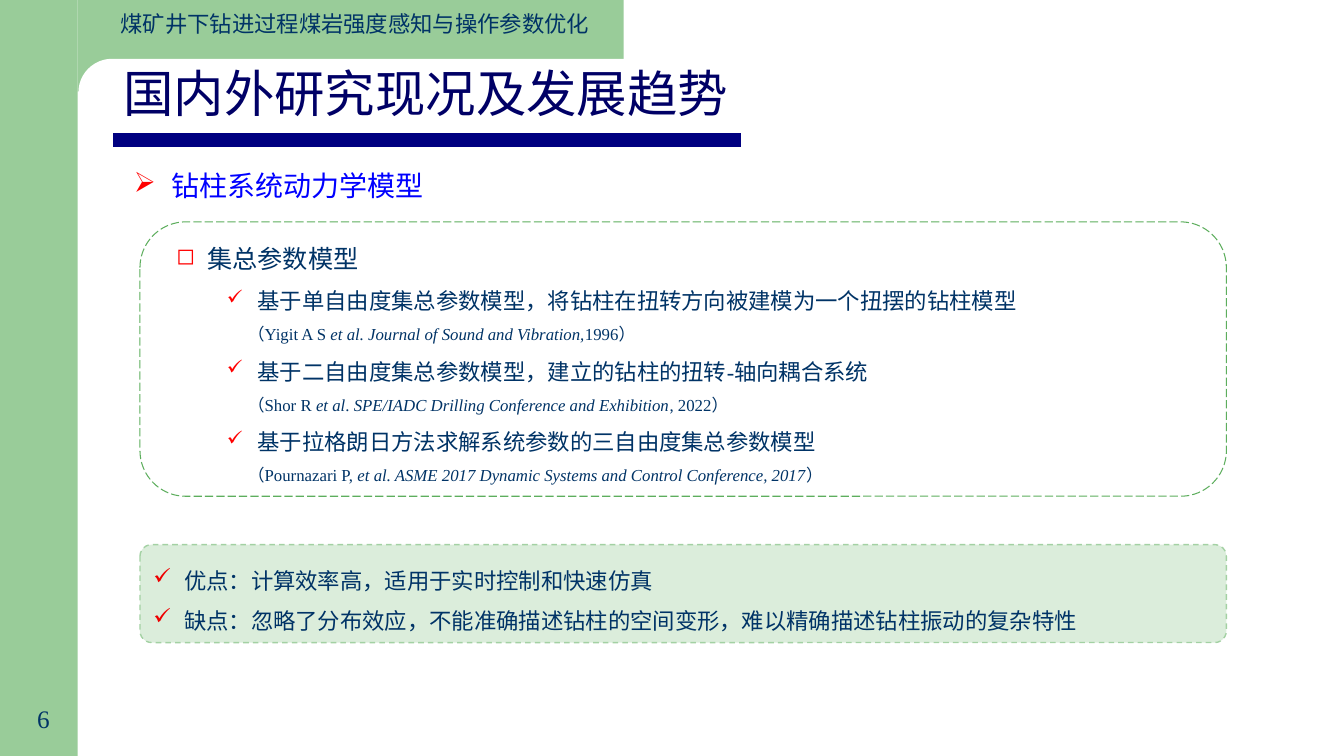
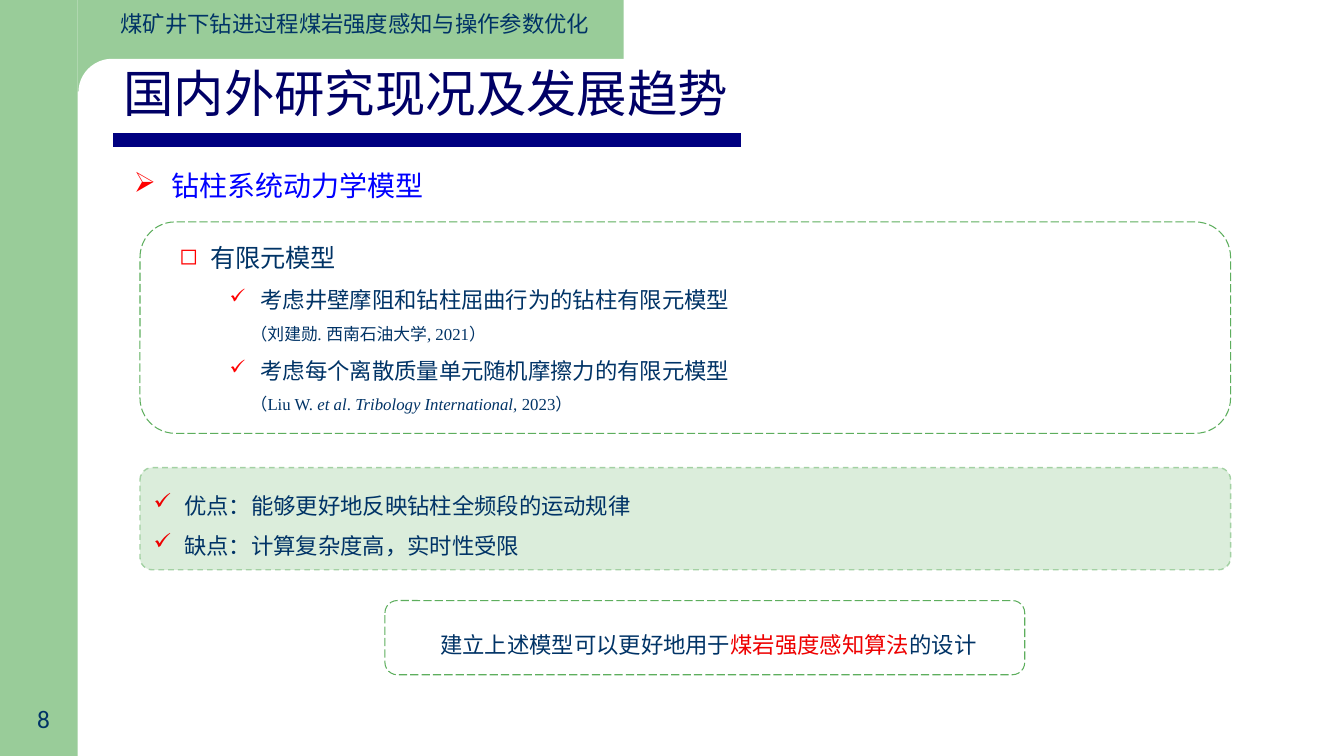
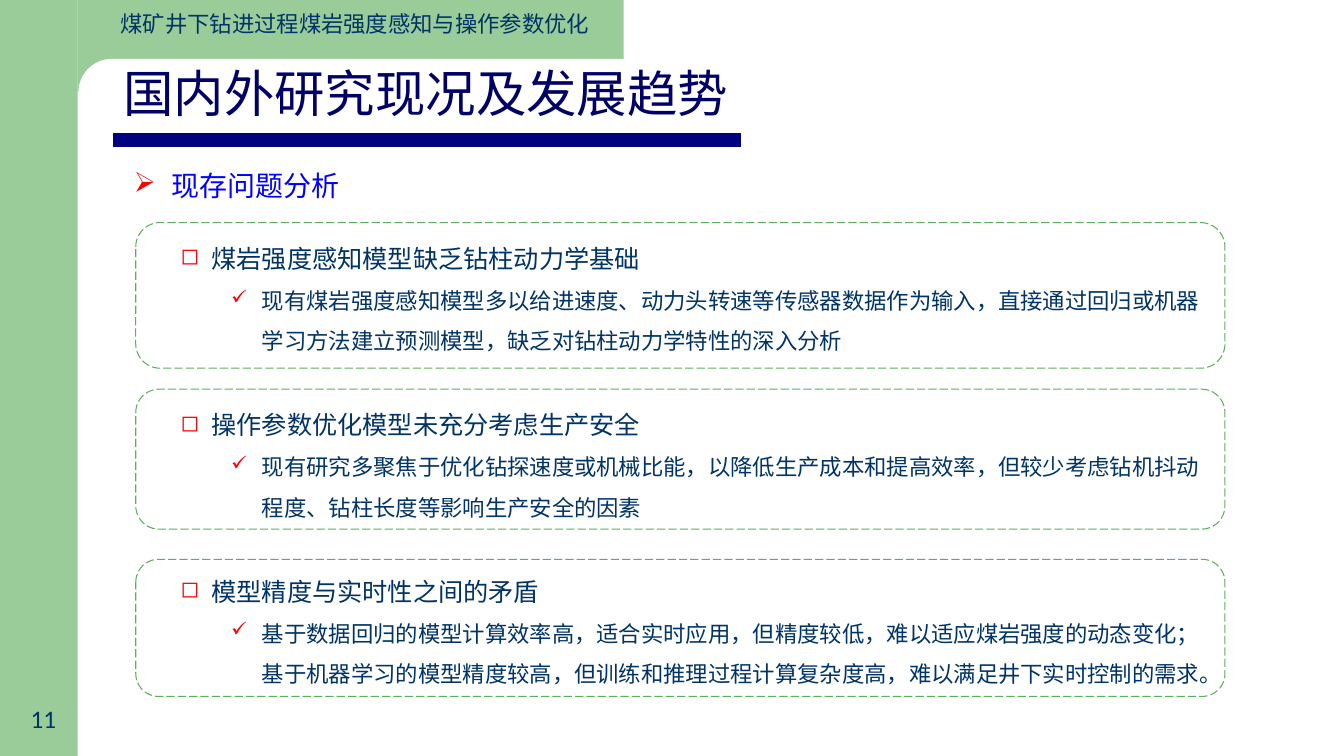
"""Builds three slides on drill string models and open research problems."""
import dataclasses

import lxml.etree
import pptx
import pptx.dml.color
import pptx.enum.dml
import pptx.enum.shapes
import pptx.enum.text
import pptx.oxml.ns
import pptx.util

Pt = pptx.util.Pt
RGB = pptx.dml.color.RGBColor.from_string
qn = pptx.oxml.ns.qn
SHAPES = pptx.enum.shapes.MSO_SHAPE
DASHES = pptx.enum.dml.MSO_LINE
ALIGN = pptx.enum.text.PP_ALIGN
ANCHOR = pptx.enum.text.MSO_ANCHOR


@dataclasses.dataclass(frozen=True)
class Theme:
    """Colours, fonts and type sizes of the deck."""
    band: str = "99CC99"
    paper: str = "FFFFFF"
    ink: str = "003366"
    title: str = "000066"
    rule: str = "000080"
    topic: str = "0000FF"
    bullet: str = "FF0000"
    accent: str = "EE0000"
    card_line: str = "5DAE5D"
    verdict_fill: str = "DBEDDB"
    verdict_line: str = "A3D1A3"
    latin: str = "Times New Roman"
    sans: str = "Calibri"
    chinese: str = "Noto Sans CJK SC"
    title_size: int = 36
    topic_size: int = 20
    head_size: int = 18
    body_size: int = 16
    cite_size: int = 12
    leading: float = 1.8


THEME = Theme()
RUNNING_HEAD = "煤矿井下钻进过程煤岩强度感知与操作参数优化"
TITLE = "国内外研究现况及发展趋势"

SLIDES = [
    {
        "number": "6", "number_font": THEME.latin,
        "topic": "钻柱系统动力学模型",
        "cards": [(100, 158.5, 776, 196)],
        "list_at": (119, 159.5, 693, 190),
        "list": [
            ("head", "集总参数模型"),
            ("point", "基于单自由度集总参数模型，将钻柱在扭转方向被建模为一个扭摆的钻柱模型"),
            ("cite", "（Yigit A S ", "et al. Journal of Sound and Vibration,", "1996）"),
            ("point", "基于二自由度集总参数模型，建立的钻柱的扭转-轴向耦合系统"),
            ("cite", "（Shor R ", "et al", ". ",
             "SPE/IADC Drilling Conference and Exhibition", ", 2022）"),
            ("point", "基于拉格朗日方法求解系统参数的三自由度集总参数模型"),
            ("cite", "（Pournazari P,",
             " et al. ASME 2017 Dynamic Systems and Control Conference, 2017", "）"),
        ],
        "verdict_at": (100, 389, 776, 70),
        "verdict": [
            ("verdict", "优点：计算效率高，适用于实时控制和快速仿真"),
            ("verdict", "缺点：忽略了分布效应，不能准确描述钻柱的空间变形，难以精确描述钻柱振动的复杂特性"),
        ],
    },
    {
        "number": "8", "number_font": THEME.sans,
        "topic": "钻柱系统动力学模型",
        "cards": [(100, 158.5, 779, 151), (275, 429, 457, 53)],
        "list_at": (121, 159, 459, 139),
        "list": [
            ("head", "有限元模型"),
            ("point", "考虑井壁摩阻和钻柱屈曲行为的钻柱有限元模型"),
            ("cite", "（刘建勋", ". ", "西南石油大学", ",", " 2021）"),
            ("point", "考虑每个离散质量单元随机摩擦力的有限元模型"),
            ("cite", "（Liu W. ", "et al", ". ", "Tribology International, ", "2023）"),
        ],
        "verdict_at": (100, 334, 779, 73),
        "verdict": [
            ("verdict", "优点：能够更好地反映钻柱全频段的运动规律"),
            ("verdict", "缺点：计算复杂度高，实时性受限"),
        ],
        "closing_at": (275, 438, 462, 36),
        "closing": [("closing", "建立上述模型可以更好地用于", "煤岩强度感知算法", "的设计")],
    },
    {
        "number": "11", "number_font": THEME.sans,
        "topic": "现存问题分析",
        "cards": [(97, 159, 778, 104), (97, 278, 778, 100), (97, 399.5, 778, 98)],
        "list_at": (122, 159.5, 746, 335),
        "list": [
            ("head", "煤岩强度感知模型缺乏钻柱动力学基础"),
            ("point", "现有煤岩强度感知模型多以给进速度、动力头转速等传感器数据作为输入，"
                      "直接通过回归或机器学习方法建立预测模型，缺乏对钻柱动力学特性的深入分析"),
            ("next_head", "操作参数优化模型未充分考虑生产安全"),
            ("point", "现有研究多聚焦于优化钻探速度或机械比能，以降低生产成本和提高效率，"
                      "但较少考虑钻机抖动程度、钻柱长度等影响生产安全的因素"),
            ("next_head", "模型精度与实时性之间的矛盾"),
            ("point", "基于数据回归的模型计算效率高，适合实时应用，但精度较低，难以适应煤岩强度的动态变化；"
                      "基于机器学习的模型精度较高，但训练和推理过程计算复杂度高，难以满足井下实时控制的需求。"),
        ],
    },
]

HEAD = {"size": THEME.head_size, "margin": 22, "indent": -22, "bullet": "◻", "scale": 90}
STYLES = {
    "running": {"font": THEME.chinese, "single": True},
    "title": {"size": THEME.title_size, "color": THEME.title, "font": THEME.chinese,
              "single": True},
    "number": {"size": THEME.head_size, "single": True, "format": {"alignment": ALIGN.CENTER}},
    "topic": {"size": THEME.topic_size, "color": THEME.topic, "margin": 27, "indent": -27,
              "bullet": "➢", "format": {"alignment": ALIGN.JUSTIFY}},
    "head": HEAD,
    "next_head": {**HEAD, "format": {"space_before": Pt(28.8)}},
    "point": {"margin": 58, "indent": -22, "bullet": "✓", "scale": 90, "format": {"level": 1}},
    "cite": {"size": THEME.cite_size, "margin": 51, "italic_emphasis": True,
             "format": {"level": 1}},
    "verdict": {"margin": 22, "indent": -22, "bullet": "✓", "bullet_color": THEME.accent},
    "closing": {"emphasis": THEME.accent, "format": {"alignment": ALIGN.CENTER}},
}


def add_bullet(props, style):
    """Give a paragraph its coloured bullet character."""
    color = lxml.etree.SubElement(props, qn("a:buClr"))
    lxml.etree.SubElement(color, qn("a:srgbClr"),
                          val=style.get("bullet_color", THEME.bullet))
    lxml.etree.SubElement(props, qn("a:buSzPct"), val=str(style.get("scale", 100) * 1000))
    lxml.etree.SubElement(props, qn("a:buChar"), char=style["bullet"])


def write(frame, paragraphs, font=None):
    """Fill a text frame; every second run of a paragraph is emphasised."""
    frame.word_wrap = True
    for index, (kind, *runs) in enumerate(paragraphs):
        style = STYLES[kind]
        size = style.get("size", THEME.body_size)
        paragraph = frame.paragraphs[0] if index == 0 else frame.add_paragraph()
        spacing = 1.0 if style.get("single") else Pt(size * THEME.leading)
        values = {"alignment": ALIGN.LEFT, "line_spacing": spacing, **style.get("format", {})}
        for name, value in values.items():
            setattr(paragraph, name, value)
        props = paragraph._p.get_or_add_pPr()
        props.set("marL", str(Pt(style.get("margin", 0))))
        props.set("indent", str(Pt(style.get("indent", 0))))
        if "bullet" in style:
            add_bullet(props, style)
        for position, text in enumerate(runs):
            emphasised = position % 2 == 1
            run = paragraph.add_run()
            run.text = text
            run_format = {"size": Pt(size), "name": font or style.get("font", THEME.latin),
                          "italic": emphasised and style.get("italic_emphasis", False)}
            for name, value in run_format.items():
                setattr(run.font, name, value)
            color = style.get("color", THEME.ink)
            run.font.color.rgb = RGB(style.get("emphasis", color) if emphasised else color)
            lxml.etree.SubElement(run.font._element, qn("a:ea"), typeface=THEME.chinese)


def add_text(slide, at, paragraphs, font=None):
    """Add a text box at a place given in points."""
    box = slide.shapes.add_textbox(*map(Pt, at))
    write(box.text_frame, paragraphs, font)
    return box


def add_panel(slide, kind, at, fill=None, line=None, width=0.75, dash=None, radius=None):
    """Add a flat preset shape at a place given in points."""
    panel = slide.shapes.add_shape(kind, *map(Pt, at))
    panel.shadow.inherit = False
    if fill:
        panel.fill.solid()
        panel.fill.fore_color.rgb = RGB(fill)
    else:
        panel.fill.background()
    if line:
        panel.line.color.rgb = RGB(line)
        panel.line.width = Pt(width)
        panel.line.dash_style = dash
    else:
        panel.line.fill.background()
    if radius is not None:
        panel.adjustments[0] = radius
    return panel


def dress_layout(layout, slide):
    """Put the bands and running head on the layout shared by all slides."""
    tree = layout.shapes.element
    for placeholder in list(layout.placeholders):
        tree.remove(placeholder.element)
    parts = [
        add_panel(slide, SHAPES.RECTANGLE, (-0.5, 0, 56, 540), THEME.band),
        add_panel(slide, SHAPES.RECTANGLE, (55.5, -0.5, 390, 66), THEME.band),
        add_panel(slide, SHAPES.ROUNDED_RECTANGLE, (56, 42, 536, 48), THEME.paper, radius=0.5),
        add_text(slide, (79, 3.5, 362, 27), [("running", RUNNING_HEAD)]),
    ]
    for part in parts:
        tree.append(part.element)


def add_heading(slide, content):
    """Add title, title rule, page number and topic."""
    add_text(slide, (81, 41, 554, 51), [("title", TITLE)])
    rule = slide.shapes.add_connector(pptx.enum.shapes.MSO_CONNECTOR.STRAIGHT,
                                      Pt(81), Pt(100), Pt(529), Pt(100))
    rule.line.color.rgb = RGB(THEME.rule)
    rule.line.width = Pt(10)
    lxml.etree.SubElement(rule.element.spPr, qn("a:effectLst"))
    add_text(slide, (0, 499, 62, 29), [("number", content["number"])], content["number_font"])
    add_text(slide, (88.5, 105, 590, 40), [("topic", content["topic"])])


def add_body(slide, content):
    """Add the dashed cards, the list, the verdict and the closing line."""
    for at in content["cards"]:
        add_panel(slide, SHAPES.ROUNDED_RECTANGLE, at, line=THEME.card_line,
                  dash=DASHES.LONG_DASH)
    if "verdict" in content:
        verdict = add_panel(slide, SHAPES.ROUNDED_RECTANGLE, content["verdict_at"],
                            THEME.verdict_fill, THEME.verdict_line, 1, DASHES.DASH, 0.12)
        verdict.text_frame.vertical_anchor = ANCHOR.MIDDLE
        write(verdict.text_frame, content["verdict"])
    for part in ("list", "closing"):
        if part in content:
            add_text(slide, content[part + "_at"], content[part])


def main():
    """Build and save the deck."""
    deck = pptx.Presentation()
    deck.slide_width, deck.slide_height = Pt(960), Pt(540)
    blank = deck.slide_layouts[6]
    for index, content in enumerate(SLIDES):
        slide = deck.slides.add_slide(blank)
        if index == 0:
            dress_layout(blank, slide)
        add_heading(slide, content)
        add_body(slide, content)
    deck.save("out.pptx")


if __name__ == "__main__":
    main()
